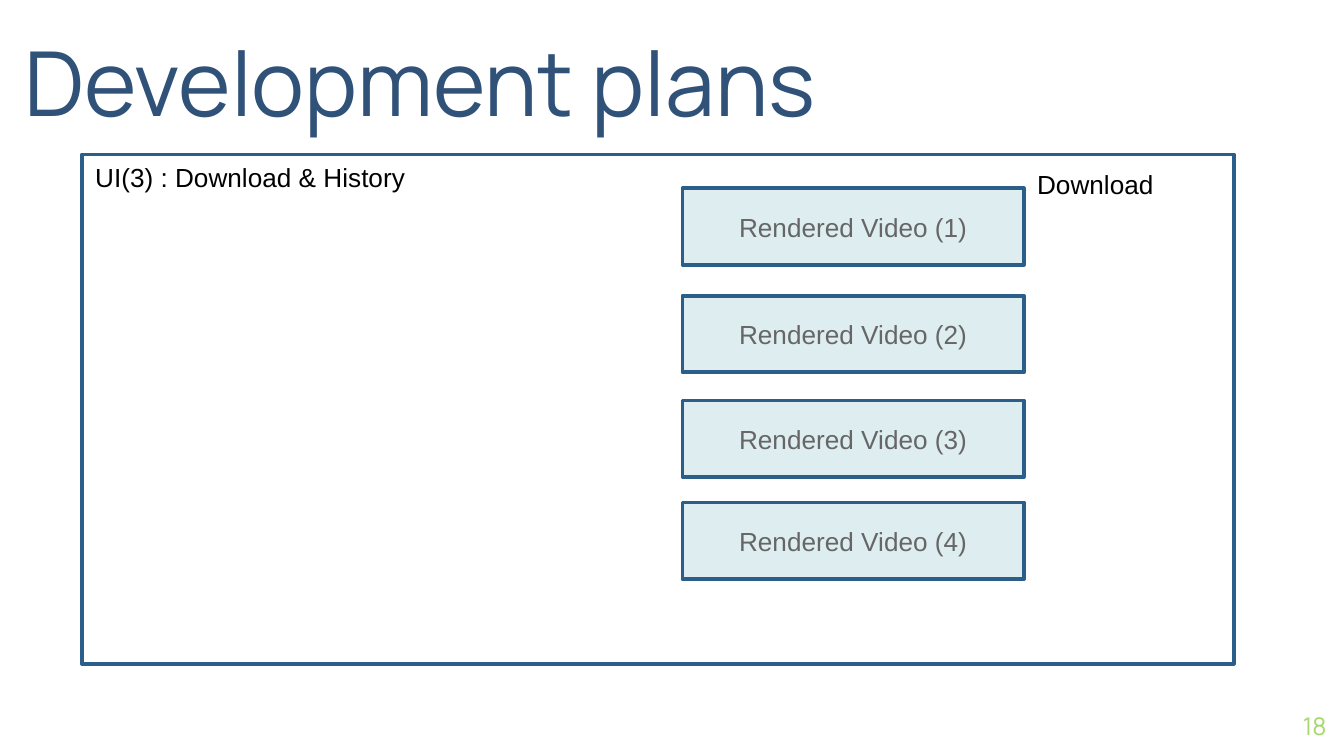
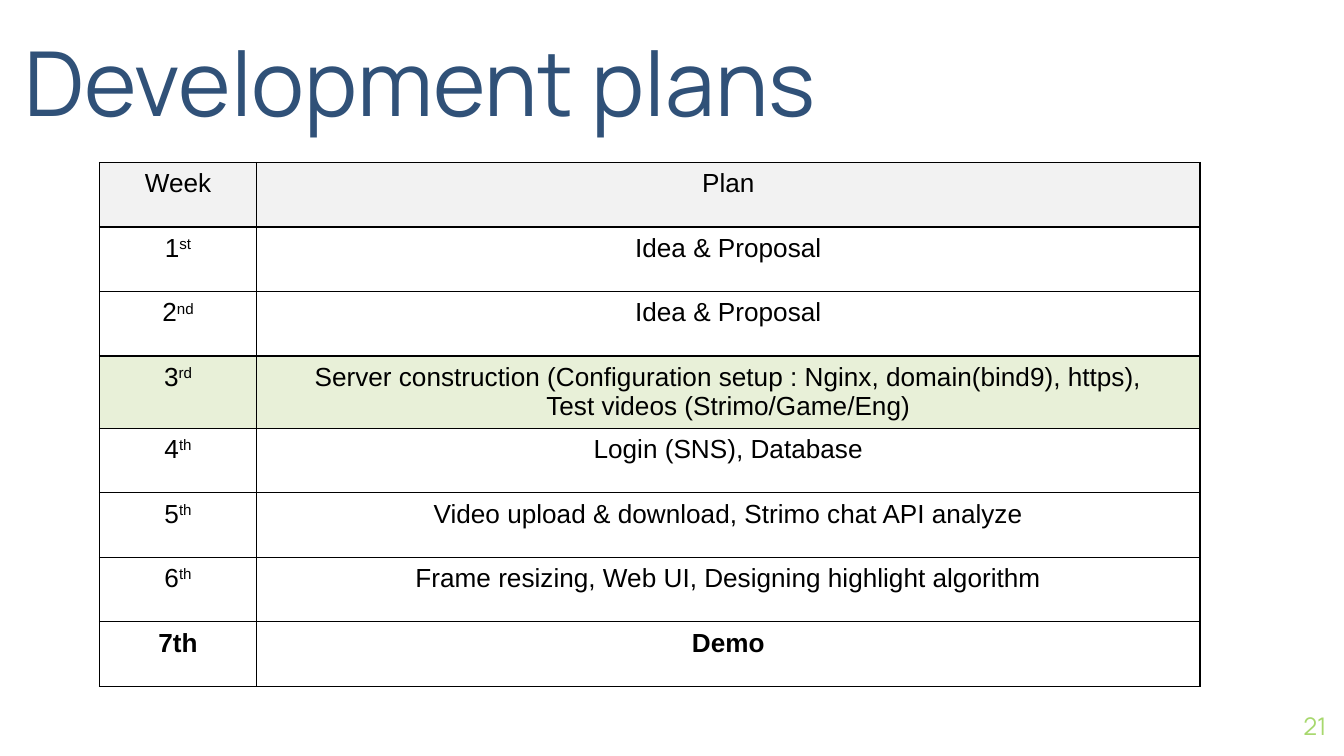
from lxml.etree import SubElement
from pptx import Presentation
from pptx.dml.color import RGBColor as RGB
from pptx.enum.shapes import MSO_SHAPE as Shape
from pptx.enum.text import MSO_ANCHOR as Anchor, MSO_AUTO_SIZE as Fit, PP_ALIGN as Align
from pptx.oxml.ns import qn
from pptx.util import Cm, Pt

TITLE = "Development plans"
PANEL = (1.55, 2.92, 21.77, 9.63)
LABELS = [
    ("UI(3) : Download & History", (1.55, 2.92, 6.4, 0.86)),
    ("Download", (19.35, 3.05, 2.72, 0.86)),
]
VIDEO = "Rendered Video ({})"
TOPS = [3.56, 5.59, 7.57, 9.5]
PLAN = [
    ("Week", "Plan"),
    ("1^st", "Idea & Proposal"),
    ("2^nd", "Idea & Proposal"),
    ("3^rd", "Server construction (Configuration setup : Nginx, domain(bind9), https),\n"
             "Test videos (Strimo/Game/Eng)"),
    ("4^th", "Login (SNS), Database"),
    ("5^th", "Video upload & download, Strimo chat API analyze"),
    ("6^th", "Frame resizing, Web UI, Designing highlight algorithm"),
    ("7th", "Demo"),
]
WIDTHS = [2.97, 17.83]
ROW = 1.22
FILLS = {0: "head", 3: "mark"}
HEX = {
    "title": "305178", "page": "A7D86D", "edge": "2B5F8A", "box": "DDEDF0",
    "gray": "666666", "ink": "000000", "head": "F2F2F2", "mark": "E8F0D8",
    "paper": "FFFFFF",
}


def tint(name):
    return RGB.from_string(HEX[name])


def write(frame, text, size=14, font="Arial", color="ink", align=Align.LEFT, bold=False):
    for i, line in enumerate(text.split("\n")):
        para = frame.add_paragraph() if i else frame.paragraphs[0]
        para.alignment = align
        for j, part in enumerate(line.split("^")):
            run = para.add_run()
            run.text = part
            run.font.size = Pt(size)
            run.font.name = font
            run.font.bold = bold
            run.font.color.rgb = tint(color)
            if j:
                run._r.get_or_add_rPr().set("baseline", "30000")


def place(shape, area):
    shape.left, shape.top, shape.width, shape.height = map(Cm, area)


def bare(frame, anchor):
    frame.margin_left = frame.margin_right = 0
    frame.margin_top = frame.margin_bottom = 0
    frame.vertical_anchor = anchor
    frame.word_wrap = True
    frame.auto_size = Fit.NONE


def start(deck, page):
    slide = deck.slides.add_slide(deck.slide_layouts[5])
    fill = slide.background.fill
    fill.solid()
    fill.fore_color.rgb = tint("paper")
    head = slide.shapes.title
    place(head, (0.46, 0.15, 17.5, 2.39))
    bare(head.text_frame, Anchor.BOTTOM)
    write(head.text_frame, TITLE, size=48, font="Manrope", color="title")
    foot = slide.shapes.add_textbox(*map(Cm, (23.55, 13.18, 1.52, 1.09)))
    bare(foot.text_frame, Anchor.MIDDLE)
    write(foot.text_frame, str(page), size=13, font="Manrope", color="page", align=Align.RIGHT)
    return slide


def rect(slide, area, fill=None):
    shape = slide.shapes.add_shape(Shape.RECTANGLE, *map(Cm, area))
    shape.shadow.inherit = False
    shape.line.color.rgb = tint("edge")
    shape.line.width = Pt(2)
    if fill:
        shape.fill.solid()
        shape.fill.fore_color.rgb = tint(fill)
    else:
        shape.fill.background()
    return shape


def border(cell):
    props = cell._tc.get_or_add_tcPr()
    for side in ("lnL", "lnR", "lnT", "lnB"):
        line = SubElement(props, qn("a:" + side), w=str(Pt(0.75)))
        SubElement(SubElement(line, qn("a:solidFill")), qn("a:srgbClr"), val=HEX["ink"])


def screen(deck):
    slide = start(deck, 18)
    rect(slide, PANEL)
    for text, area in LABELS:
        frame = slide.shapes.add_textbox(*map(Cm, area)).text_frame
        frame.word_wrap = False
        frame.auto_size = Fit.SHAPE_TO_FIT_TEXT
        write(frame, text)
    for num, top in enumerate(TOPS, 1):
        frame = rect(slide, (12.9, top, 6.45, 1.45), "box").text_frame
        frame.vertical_anchor = Anchor.MIDDLE
        write(frame, VIDEO.format(num), color="gray", align=Align.CENTER)


def weeks(deck):
    slide = start(deck, 21)
    area = (1.88, 3.07, sum(WIDTHS), ROW * len(PLAN))
    table = slide.shapes.add_table(len(PLAN), len(WIDTHS), *map(Cm, area)).table
    table.first_row = table.horz_banding = False
    for col, width in zip(table.columns, WIDTHS):
        col.width = Cm(width)
    for i, texts in enumerate(PLAN):
        table.rows[i].height = Cm(ROW)
        for j, text in enumerate(texts):
            cell = table.cell(i, j)
            border(cell)
            if i in FILLS:
                cell.fill.solid()
                cell.fill.fore_color.rgb = tint(FILLS[i])
            else:
                cell.fill.background()
            write(cell.text_frame, text, align=Align.CENTER, bold=i == len(PLAN) - 1)


def main():
    deck = Presentation()
    deck.slide_width, deck.slide_height = Cm(25.4), Cm(14.29)
    screen(deck)
    weeks(deck)
    deck.save("out.pptx")


if __name__ == "__main__":
    main()
